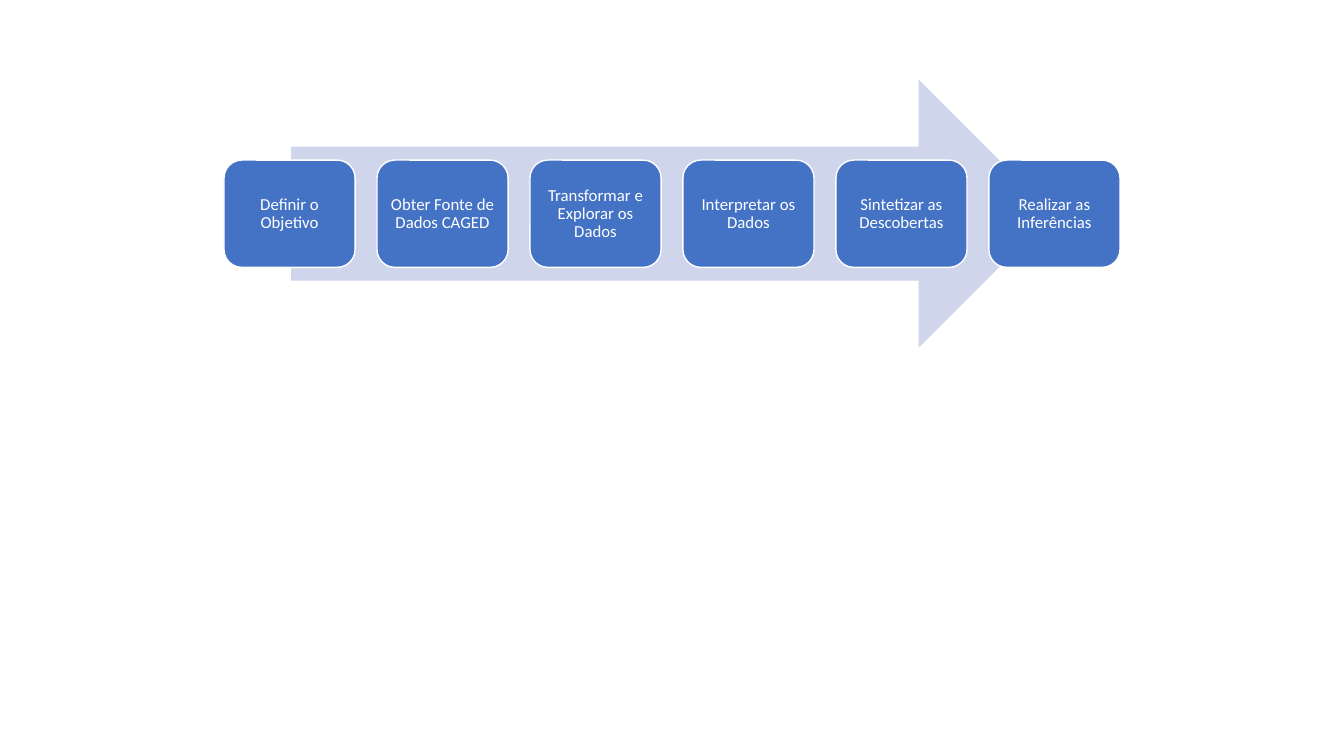
from dataclasses import dataclass

from pptx import Presentation
from pptx import util as u
from pptx.dml.color import RGBColor
from pptx.enum import shapes, text


@dataclass(frozen=True)
class Theme:
    font: str = "Calibri"
    step_size: float = 12
    step_fill: str = "4472C4"
    arrow_fill: str = "CFD5EA"
    light: str = "FFFFFF"
    outline: float = 1
    inset: float = 0.05


STEPS = [
    "Definir o Objetivo",
    "Obter Fonte de Dados CAGED",
    "Transformar e Explorar os Dados",
    "Interpretar os Dados",
    "Sintetizar as Descobertas",
    "Realizar as Inferências",
]
STEP_COLUMNS, GAP_COLUMNS = 6, 1
STEP_PITCH = STEP_COLUMNS + GAP_COLUMNS
COLUMNS = STEP_PITCH * len(STEPS) - GAP_COLUMNS
ROWS, STEP_ROWS = 5, 2
ARROW_SHARE = 0.85


def write(frame, wording, *, font, size, color, inset, spacing=0.9):
    frame.word_wrap = True
    frame.vertical_anchor = text.MSO_ANCHOR.MIDDLE
    frame.margin_left = frame.margin_right = u.Inches(inset)
    frame.margin_top = frame.margin_bottom = u.Inches(inset)
    paragraph = frame.paragraphs[0]
    paragraph.alignment = text.PP_ALIGN.CENTER
    paragraph.line_spacing = spacing
    run = paragraph.add_run()
    run.text = wording
    run.font.name = font
    run.font.size = u.Pt(size)
    run.font.color.rgb = RGBColor.from_string(color)


class ProcessSlide:
    def __init__(self, deck, theme):
        self.theme = theme
        self.slide = deck.slides.add_slide(deck.slide_layouts[6])
        self.left = deck.slide_width / 6
        self.top = u.Inches(0.79)
        self.column = deck.slide_width * 2 / 3 / COLUMNS
        self.row = u.Inches(2.66) / ROWS

    def block(self, kind, column, row, columns, rows, fill):
        block = self.slide.shapes.add_shape(
            kind,
            round(self.left + column * self.column),
            round(self.top + row * self.row),
            round(columns * self.column),
            round(rows * self.row),
        )
        block.shadow.inherit = False
        block.fill.solid()
        block.fill.fore_color.rgb = RGBColor.from_string(fill)
        return block

    def arrow(self):
        width = COLUMNS * ARROW_SHARE
        arrow = self.block(shapes.MSO_SHAPE.RIGHT_ARROW, (COLUMNS - width) / 2, 0,
                           width, ROWS, self.theme.arrow_fill)
        arrow.line.fill.background()

    def step(self, position, wording):
        theme = self.theme
        step = self.block(shapes.MSO_SHAPE.ROUNDED_RECTANGLE,
                          position * STEP_PITCH, (ROWS - STEP_ROWS) / 2,
                          STEP_COLUMNS, STEP_ROWS, theme.step_fill)
        step.line.color.rgb = RGBColor.from_string(theme.light)
        step.line.width = u.Pt(theme.outline)
        write(step.text_frame, wording, font=theme.font, size=theme.step_size,
              color=theme.light, inset=theme.inset)


def main():
    deck = Presentation()
    deck.slide_width, deck.slide_height = u.Inches(13.33), u.Inches(7.5)
    process = ProcessSlide(deck, Theme())
    process.arrow()
    for position, wording in enumerate(STEPS):
        process.step(position, wording)
    deck.save("out.pptx")


if __name__ == "__main__":
    main()
